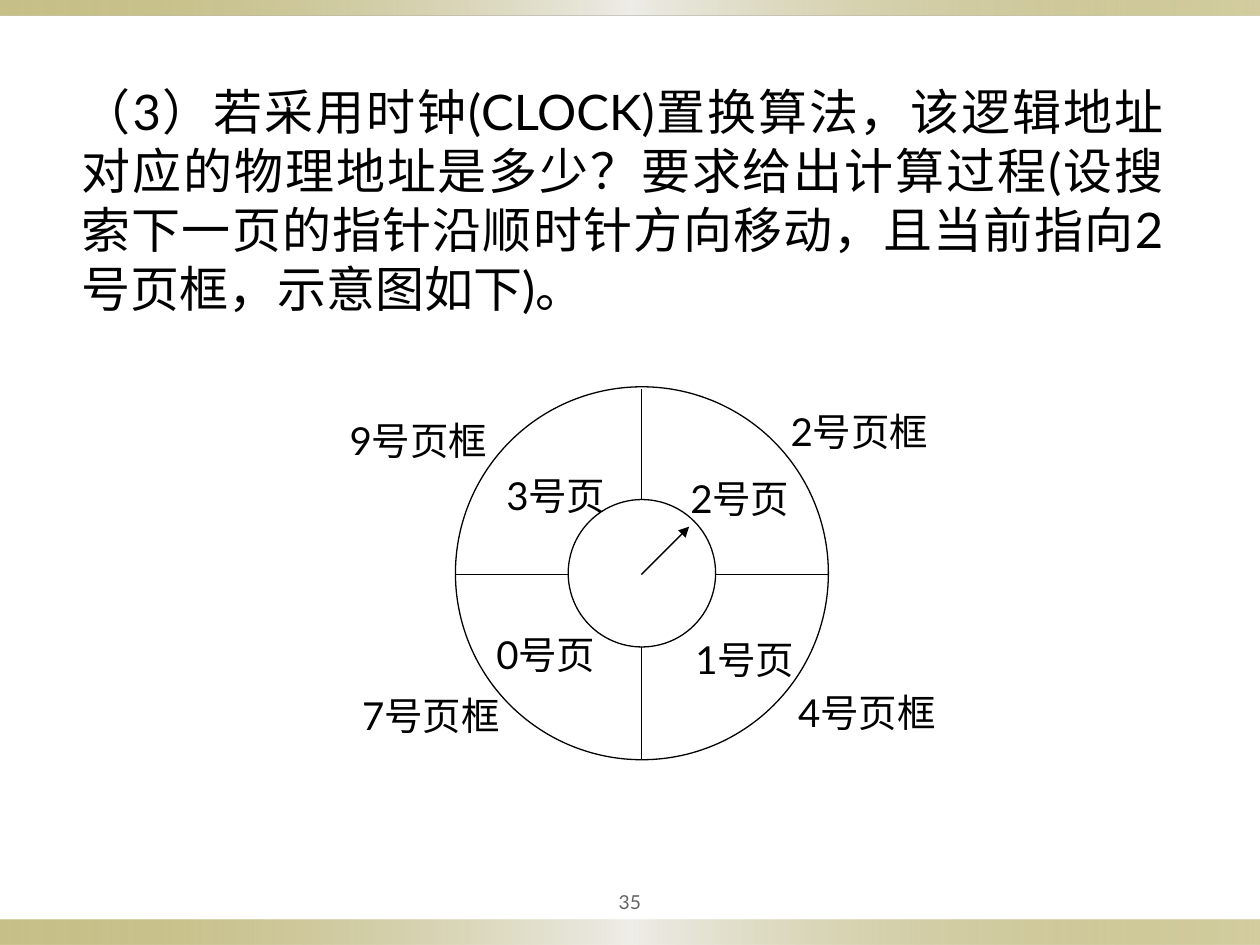
import pptx
import pptx.util
import pptx.dml.color
import pptx.enum.shapes
import pptx.enum.text
import pptx.oxml
import pptx.oxml.ns
import lxml.etree

COLS, ROWS = 100, 75
CELL = pptx.util.Inches(0.1)
FONT = "Lato"
INK = "000000"
HUB = (50.95, 45.5)
ALIGN = pptx.enum.text.PP_ALIGN
KIND = pptx.enum.shapes.MSO_SHAPE


def grid(*cells):
    """Turn counts of grid cells into lengths."""
    return [round(n * CELL) for n in cells]


def color(code):
    """Turn a hex string into a colour."""
    return pptx.dml.color.RGBColor.from_string(code)


def node(home, tag, **attrs):
    """Append a drawing element with attributes to its parent."""
    return lxml.etree.SubElement(home, pptx.oxml.ns.qn(tag), attrs)


def band(shapes, top, high):
    """Draw a full-width bar with a fading gold gradient."""
    bar = shapes.add_shape(KIND.RECTANGLE, *grid(0, top, COLS, high))
    bar.shadow.inherit = False
    bar.line.fill.background()
    bar.fill.gradient()
    bar.fill.gradient_angle = 0
    stops = bar.fill._fill._gradFill.find(pptx.oxml.ns.qn("a:gsLst"))
    for old in list(stops):
        stops.remove(old)
    for pos, code, alpha in ((0, "918415", 50), (50, "EEEDE8", 100), (100, "918415", 40)):
        stop = node(stops, "a:gs", pos=str(pos * 1000))
        tint = node(stop, "a:srgbClr", val=code)
        node(tint, "a:alpha", val=str(alpha * 1000))


def text(shapes, words, box, size, align, code=INK, inset=(1, 0.5), middle=False):
    """Add a wrapped text box holding one paragraph."""
    frame = shapes.add_textbox(*grid(*box)).text_frame
    frame.word_wrap = True
    side, edge = grid(*inset)
    frame.margin_left = frame.margin_right = side
    frame.margin_top = frame.margin_bottom = edge
    if middle:
        frame.vertical_anchor = pptx.enum.text.MSO_ANCHOR.MIDDLE
    para = frame.paragraphs[0]
    para.alignment = align
    run = para.add_run()
    run.text = words
    run.font.name = FONT
    run.font.size = pptx.util.Pt(size)
    run.font.color.rgb = color(code)


def pen(line):
    """Give an outline the thin black stroke."""
    line.color.rgb = color(INK)
    line.width = pptx.util.Pt(0.75)


def disc(shapes, wide):
    """Draw a white circle around the hub."""
    left, top = (mid - wide / 2 for mid in HUB)
    ring = shapes.add_shape(KIND.OVAL, *grid(left, top, wide, wide))
    ring.shadow.inherit = False
    ring.fill.solid()
    ring.fill.fore_color.rgb = color("FFFFFF")
    pen(ring.line)


def rule(shapes, start, end, arrow=False):
    """Draw a straight line, with an arrowhead if asked."""
    link = shapes.add_connector(
        pptx.enum.shapes.MSO_CONNECTOR.STRAIGHT, *grid(*start, *end))
    pen(link.line)
    if arrow:
        node(link.line._get_or_add_ln(), "a:tailEnd", type="triangle")
    node(link._element.spPr, "a:effectLst")


def clock(shapes):
    """Draw the ring of page frames with its pointer and labels."""
    disc(shapes, 29.6)
    rule(shapes, (36.2, 45.6), (65.8, 45.6))
    rule(shapes, (50.9, 30.9), (50.9, 60.3))
    disc(shapes, 11.7)
    rule(shapes, (50.9, 45.6), (54.7, 41.8), True)
    pages = (("0号页", 38.4, 49.6), ("1号页", 54.2, 50),
             ("2号页", 53.8, 37.2), ("3号页", 39.2, 37))
    for words, left, top in pages:
        text(shapes, words, (left, top, 12.8, 4.5), 22, ALIGN.JUSTIFY)
    frames = (("2号页框", 61.8, 32.3), ("4号页框", 62.4, 54.6),
              ("7号页框", 27.8, 54.8), ("9号页框", 26.8, 33))
    for words, left, top in frames:
        text(shapes, words, (left, top, 12.8, 4.7), 22, ALIGN.CENTER, inset=(0.2, 0.1))


def main():
    """Build the slide and save it."""
    deck = pptx.Presentation()
    deck.slide_width, deck.slide_height = grid(COLS, ROWS)
    shapes = deck.slides.add_slide(deck.slide_layouts[6]).shapes
    band(shapes, ROWS - 2, 2)
    band(shapes, 0, 1.2)
    text(shapes, "35", (45, 70, 10, 3.1), 11, ALIGN.CENTER, "636363", (0.5, 0.5), True)
    text(shapes, "（3）若采用时钟(CLOCK)置换算法，该逻辑地址对应的物理地址是多少？"
         "要求给出计算过程(设搜索下一页的指针沿顺时针方向移动，且当前指向2号页框，示意图如下)。",
         (5.5, 6, 87.8, 19.7), 28, ALIGN.JUSTIFY)
    clock(shapes.add_group_shape().shapes)
    deck.save("out.pptx")


if __name__ == "__main__":
    main()
